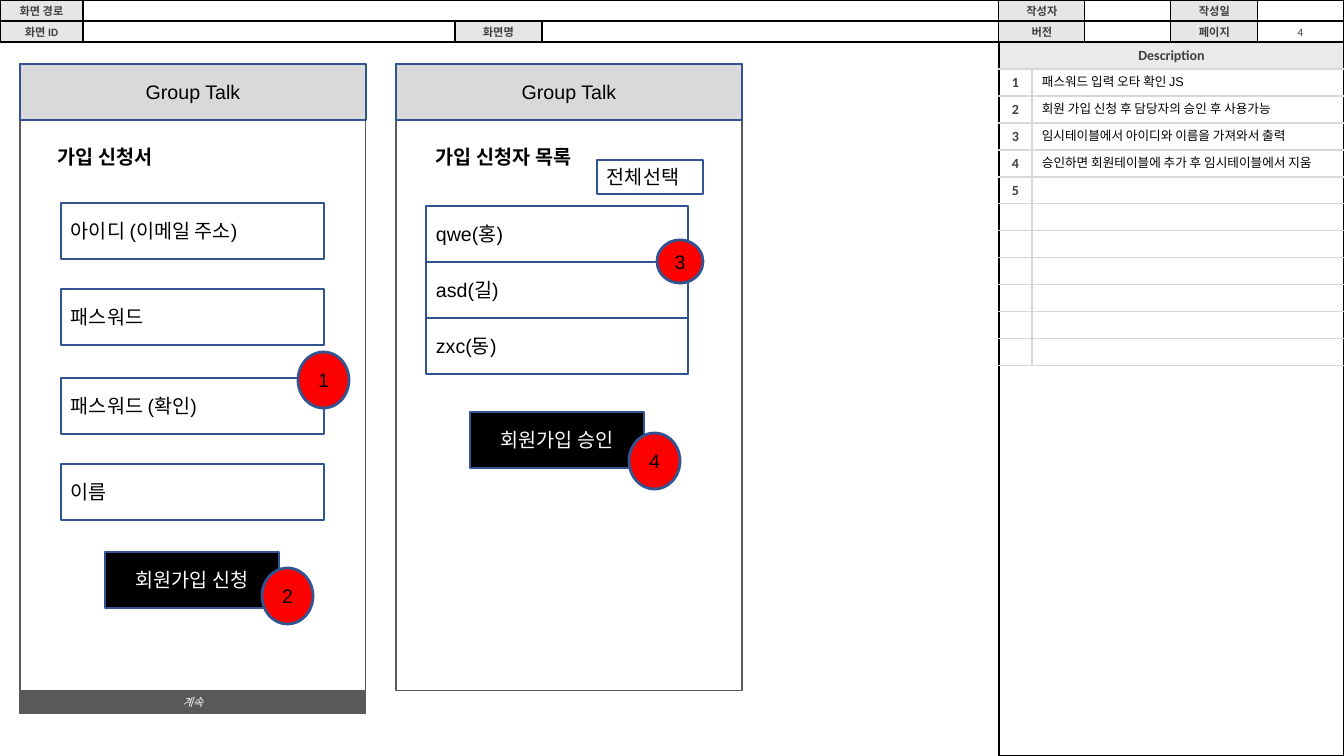
from dataclasses import dataclass
from typing import Optional

from lxml.etree import SubElement
from pptx import Presentation
from pptx.dml.color import RGBColor
from pptx.enum.shapes import MSO_SHAPE
from pptx.enum.text import MSO_ANCHOR, PP_ALIGN
from pptx.oxml.ns import qn
from pptx.util import Emu, Pt

SCALE = 12192000 / 1344
BLACK, WHITE, RED, NAVY = "000000", "FFFFFF", "FF0000", "325491"
DARK, EDGE, PALE, RULE = "3F3F3F", "595959", "E7E6E6", "D8D8D8"
KOREAN = "Noto Sans CJK KR"


@dataclass(frozen=True)
class Style:
    """Look of one run and the alignment of its paragraph."""
    size: int = 14
    font: str = "Arial"
    color: str = BLACK
    bold: bool = False
    italic: bool = False
    centred: bool = False


@dataclass(frozen=True)
class Box:
    """One preset shape with optional text, in pixels."""
    left: int
    top: int
    width: int
    height: int
    text: str = ""
    style: Style = Style()
    fill: Optional[str] = WHITE
    line: str = NAVY
    line_width: float = 2
    kind: MSO_SHAPE = MSO_SHAPE.RECTANGLE


@dataclass(frozen=True)
class Label:
    """One free text box, in pixels."""
    left: int
    top: int
    width: int
    height: int
    text: str
    style: Style
    anchor: MSO_ANCHOR = MSO_ANCHOR.TOP


CENTRED = Style(centred=True)
BUTTON = Style(color=WHITE, centred=True)
HEADING = Style(bold=True)
NOTE = Style(size=9)
FOOTER = Style(8, KOREAN, WHITE, italic=True, centred=True)
FORM_HEAD = Style(8, "Calibri", DARK, bold=True, centred=True)
TABLE_HEAD = Style(10, "Calibri", DARK, bold=True, centred=True)
PAGE = Style(8, "Calibri", DARK, centred=True)


def px(length: float) -> Emu:
    """Turn pixels into EMU."""
    return Emu(round(length * SCALE))


def rgb(color: str) -> RGBColor:
    """Turn a hex string into a colour."""
    return RGBColor.from_string(color)


def write(frame, text: str, style: Style) -> None:
    """Put one styled run into the first paragraph of a frame."""
    paragraph = frame.paragraphs[0]
    paragraph.alignment = PP_ALIGN.CENTER if style.centred else PP_ALIGN.LEFT
    run = paragraph.add_run()
    run.text = text
    font = run.font
    font.size, font.bold, font.italic = Pt(style.size), style.bold, style.italic
    font.name = style.font
    font.color.rgb = rgb(style.color)
    SubElement(font._element, qn("a:ea"), typeface=KOREAN)


def draw_box(slide, box: Box) -> None:
    """Draw a preset shape."""
    shape = slide.shapes.add_shape(
        box.kind, px(box.left), px(box.top), px(box.width), px(box.height))
    shape.shadow.inherit = False
    if box.fill:
        shape.fill.solid()
        shape.fill.fore_color.rgb = rgb(box.fill)
    else:
        shape.fill.background()
    shape.line.color.rgb = rgb(box.line)
    shape.line.width = Pt(box.line_width)
    if box.text:
        shape.text_frame.vertical_anchor = MSO_ANCHOR.MIDDLE
        write(shape.text_frame, box.text, box.style)


def draw_label(slide, label: Label) -> None:
    """Draw a text box on one line."""
    shape = slide.shapes.add_textbox(
        px(label.left), px(label.top), px(label.width), px(label.height))
    shape.text_frame.word_wrap = False
    shape.text_frame.vertical_anchor = label.anchor
    write(shape.text_frame, label.text, label.style)


def format_cell(cell, text: str, style: Style, fill: Optional[str],
                borders: tuple[str, str, str, str]) -> None:
    """Set text, fill and left, right, top, bottom borders of a cell."""
    properties = cell._tc.get_or_add_tcPr()
    for side, color in zip("LRTB", borders):
        line = SubElement(properties, qn(f"a:ln{side}"), w=str(Pt(1)))
        SubElement(SubElement(line, qn("a:solidFill")), qn("a:srgbClr"), val=color)
    if fill:
        cell.fill.solid()
        cell.fill.fore_color.rgb = rgb(fill)
    else:
        cell.fill.background()
    cell.margin_top = cell.margin_bottom = px(1)
    cell.vertical_anchor = MSO_ANCHOR.MIDDLE
    if text:
        write(cell.text_frame, text, style)
    else:
        paragraph = cell.text_frame.paragraphs[0]
        SubElement(paragraph._p, qn("a:endParaRPr"), sz=str(style.size * 100))


def add_grid(slide, left: int, top: int, columns: list[int], rows: list[int]):
    """Add an unbanded table with the given column and row sizes."""
    table = slide.shapes.add_table(
        len(rows), len(columns), px(left), px(top),
        px(sum(columns)), px(sum(rows))).table
    table.first_row = table.horz_banding = False
    for column, width in zip(table.columns, columns):
        column.width = px(width)
    for row, height in zip(table.rows, rows):
        row.height = px(height)
    return table


def draw_description(slide) -> None:
    """Draw the description table on the right."""
    rows = [27] * 12 + [390]
    table = add_grid(slide, 999, 42, [33, 312], rows)
    last = len(rows) - 1
    for row in (0, last):
        table.cell(row, 0).merge(table.cell(row, 1))
    for row in range(len(rows)):
        merged = row in (0, last)
        top = BLACK if row == 0 else RULE
        bottom = BLACK if row == last else RULE
        text = "Description" if row == 0 else str(row) if row <= 5 else ""
        fill = "EAEAEA" if row == 0 else None
        format_cell(table.cell(row, 0), text, TABLE_HEAD, fill,
                    (BLACK, BLACK if merged else RULE, top, bottom))
        format_cell(table.cell(row, 1), "", TABLE_HEAD, fill,
                    (RULE, BLACK, top, bottom))


def draw_form_header(slide) -> None:
    """Draw the form header across the top."""
    captions = [["화면 경로", "", "", "", "작성자", "", "작성일", ""],
                ["화면 ID", "", "화면명", "", "버전", "", "페이지", ""]]
    table = add_grid(slide, 0, 0, [83, 372, 87, 457, 86, 86, 87, 86], [21, 21])
    table.cell(0, 1).merge(table.cell(0, 3))
    for row, texts in enumerate(captions):
        for column, text in enumerate(texts):
            format_cell(table.cell(row, column), text, FORM_HEAD,
                        PALE if text else None, (BLACK,) * 4)


def badge(number: int, left: int, top: int, width: int = 51, height: int = 56) -> Box:
    """Describe a numbered red marker."""
    return Box(left, top, width, height, str(number), CENTRED, RED, kind=MSO_SHAPE.OVAL)


PANELS = [Box(left, 64, 346, 627, fill=None, line=EDGE, line_width=0.75)
          for left in (20, 396)]
TITLES = [Box(left, 64, 346, 56, "Group Talk", CENTRED, "D9D9D9") for left in (20, 396)]
FIELDS = [Box(61, top, 263, 56, text) for top, text in (
    (203, "아이디 (이메일 주소)"), (289, "패스워드"), (378, "패스워드 (확인)"), (464, "이름"))]
APPLICANTS = [Box(426, 206 + 56 * index, 262, 56, text)
              for index, text in enumerate(("qwe(홍)", "asd(길)", "zxc(동)"))]
CONTROLS = [
    Box(20, 691, 346, 23, "계속", FOOTER, EDGE, EDGE, 0.75),
    Box(105, 552, 174, 56, "회원가입 신청", BUTTON, BLACK),
    Box(470, 412, 174, 56, "회원가입 승인", BUTTON, BLACK),
    Box(597, 160, 106, 34, "전체선택"),
]
BADGES = [badge(1, 298, 352), badge(2, 262, 568), badge(3, 657, 240, 46, 43),
          badge(4, 629, 433)]
NOTES = ["패스워드 입력 오타 확인 JS", "회원 가입 신청 후 담당자의 승인 후 사용가능",
         "임시테이블에서 아이디와 이름을 가져와서 출력",
         "승인하면 회원테이블에 추가 후 임시테이블에서 지움"]
LABELS = [Label(48, 140, 123, 34, "가입 신청서", HEADING),
          Label(426, 140, 167, 34, "가입 신청자 목록", HEADING),
          Label(1257, 22, 87, 20, "4", PAGE, MSO_ANCHOR.MIDDLE)]
LABELS += [Label(1032, 69 + 27 * index, width, 25, text, NOTE)
           for index, (text, width) in enumerate(zip(NOTES, (176, 274, 289, 318)))]

presentation = Presentation()
presentation.slide_width, presentation.slide_height = px(1344), px(756)
slide = presentation.slides.add_slide(presentation.slide_layouts[6])
draw_description(slide)
draw_form_header(slide)
for box in PANELS + TITLES + FIELDS + APPLICANTS + CONTROLS + BADGES:
    draw_box(slide, box)
for label in LABELS:
    draw_label(slide, label)
presentation.save("out.pptx")
